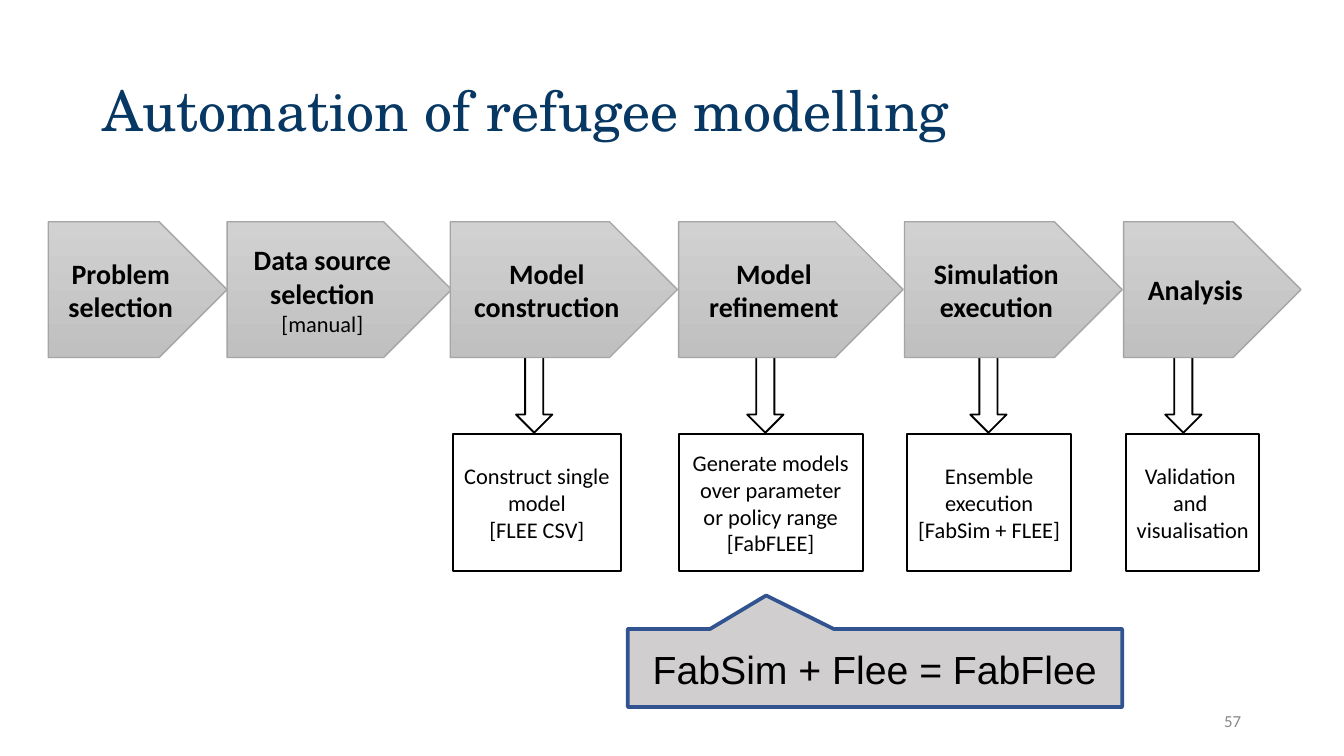
import pptx
import pptx.dml.color
import pptx.enum.shapes
import pptx.enum.text
import pptx.util

RGB = pptx.dml.color.RGBColor
SHAPE = pptx.enum.shapes.MSO_SHAPE
ALIGN = pptx.enum.text.PP_ALIGN
Inches = pptx.util.Inches
Pt = pptx.util.Pt

BLACK = RGB(0x00, 0x00, 0x00)
WHITE = RGB(0xFF, 0xFF, 0xFF)
NAVY = RGB(0x07, 0x37, 0x63)
BLUE = RGB(0x31, 0x53, 0x8F)
PALE = RGB(0xD1, 0xD1, 0xD1)
SILVER = RGB(0xC0, 0xC0, 0xC0)
EDGE = RGB(0xA5, 0xA5, 0xA5)
NOTE = RGB(0xD0, 0xCE, 0xCE)
GREY = RGB(0x88, 0x88, 0x88)

TITLE = "Automation of refugee modelling"
CLAIM = "FabSim + Flee = FabFlee"
NUMBER = "57"

# Left, width, heading, remark
STAGES = [
    (0.36, 1.33, "Problem selection", None),
    (1.69, 1.67, "Data source selection", "[manual]"),
    (3.35, 1.69, "Model construction", None),
    (5.05, 1.67, "Model refinement", None),
    (6.73, 1.62, "Simulation execution", None),
    (8.36, 1.32, "Analysis", None),
]
# Box left, box width, arrow left, lines
TASKS = [
    (3.37, 1.25, 3.84, ["Construct single model", "[FLEE CSV]"]),
    (5.05, 1.37, 5.56,
     ["Generate models over parameter or policy range", "[FabFLEE]"]),
    (6.75, 1.22, 7.22, ["Ensemble execution", "[FabSim + FLEE]"]),
    (8.38, 0.99, 8.67, ["Validation ", "and ", "visualisation"]),
]

STAGE_TOP, STAGE_HIGH = 1.65, 1.01
TASK_TOP, TASK_HIGH = 3.23, 1.02
ARROW_TOP, ARROW_WIDE, ARROW_HIGH = 2.15, 0.27, 1.07


def write(shape, lines, size=12, font="Calibri", color=BLACK, bold=False,
          align=ALIGN.CENTER, spacing=None):
    """Fill a shape with one paragraph per line, centred vertically."""
    frame = shape.text_frame
    frame.word_wrap = True
    frame.auto_size = pptx.enum.text.MSO_AUTO_SIZE.NONE
    frame.vertical_anchor = pptx.enum.text.MSO_ANCHOR.MIDDLE
    frame.margin_left = frame.margin_right = Pt(5.4)
    frame.margin_top = frame.margin_bottom = Pt(2.7)
    frame.text = "\n".join(lines)
    for para in frame.paragraphs:
        para.alignment = align
        para.line_spacing = spacing
        for run in para.runs:
            run.font.size = Pt(size)
            run.font.name = font
            run.font.bold = bold
            run.font.color.rgb = color


def draw(slide, kind, box, fill=WHITE, line=BLACK, width=1):
    shape = slide.shapes.add_shape(kind, *map(Inches, box))
    shape.shadow.inherit = False
    shape.fill.solid()
    shape.fill.fore_color.rgb = fill
    shape.line.color.rgb = line
    shape.line.width = Pt(width)
    return shape


def add_label(slide, box, text, **style):
    write(slide.shapes.add_textbox(*map(Inches, box)), [text], **style)


def add_stage(slide, left, wide, head, remark):
    stage = draw(slide, SHAPE.PENTAGON, (left, STAGE_TOP, wide, STAGE_HIGH),
                 line=EDGE, width=0.75)
    stage.fill.gradient()
    stage.fill.gradient_angle = 270
    for stop, color in zip(stage.fill.gradient_stops, (PALE, SILVER)):
        stop.color.rgb = color
    write(stage, [head, remark] if remark else [head], size=15, bold=True)
    if remark:
        font = stage.text_frame.paragraphs[1].runs[0].font
        font.size = Pt(12)
        font.bold = False


def main():
    deck = pptx.Presentation()
    deck.slide_width = Inches(10)
    deck.slide_height = deck.slide_width * 9 // 16
    slide = deck.slides.add_slide(deck.slide_layouts[5])

    title = slide.shapes.title
    title.left, title.top = Inches(0.69), Inches(0.3)
    title.width, title.height = Inches(8.62), Inches(1.09)
    write(title, [TITLE], size=30, font="TeX Gyre Schola", color=NAVY,
          align=ALIGN.LEFT, spacing=0.9)

    for left, wide, tip, lines in TASKS:
        draw(slide, SHAPE.DOWN_ARROW, (tip, ARROW_TOP, ARROW_WIDE, ARROW_HIGH))
        task = draw(slide, SHAPE.RECTANGLE, (left, TASK_TOP, wide, TASK_HIGH))
        write(task, lines)

    for stage in STAGES:
        add_stage(slide, *stage)

    claim = draw(slide, SHAPE.RECTANGULAR_CALLOUT, (4.67, 4.68, 3.68, 0.58),
                 fill=NOTE, line=BLUE, width=2)
    claim.adjustments[0] = -0.22
    claim.adjustments[1] = -0.93
    add_label(slide, (4.76, 4.76, 3.5, 0.43), CLAIM, size=21, font="Arial")
    add_label(slide, (7.06, 5.21, 2.25, 0.3), NUMBER, size=9, color=GREY,
              align=ALIGN.RIGHT)

    deck.save("out.pptx")


if __name__ == "__main__":
    main()
